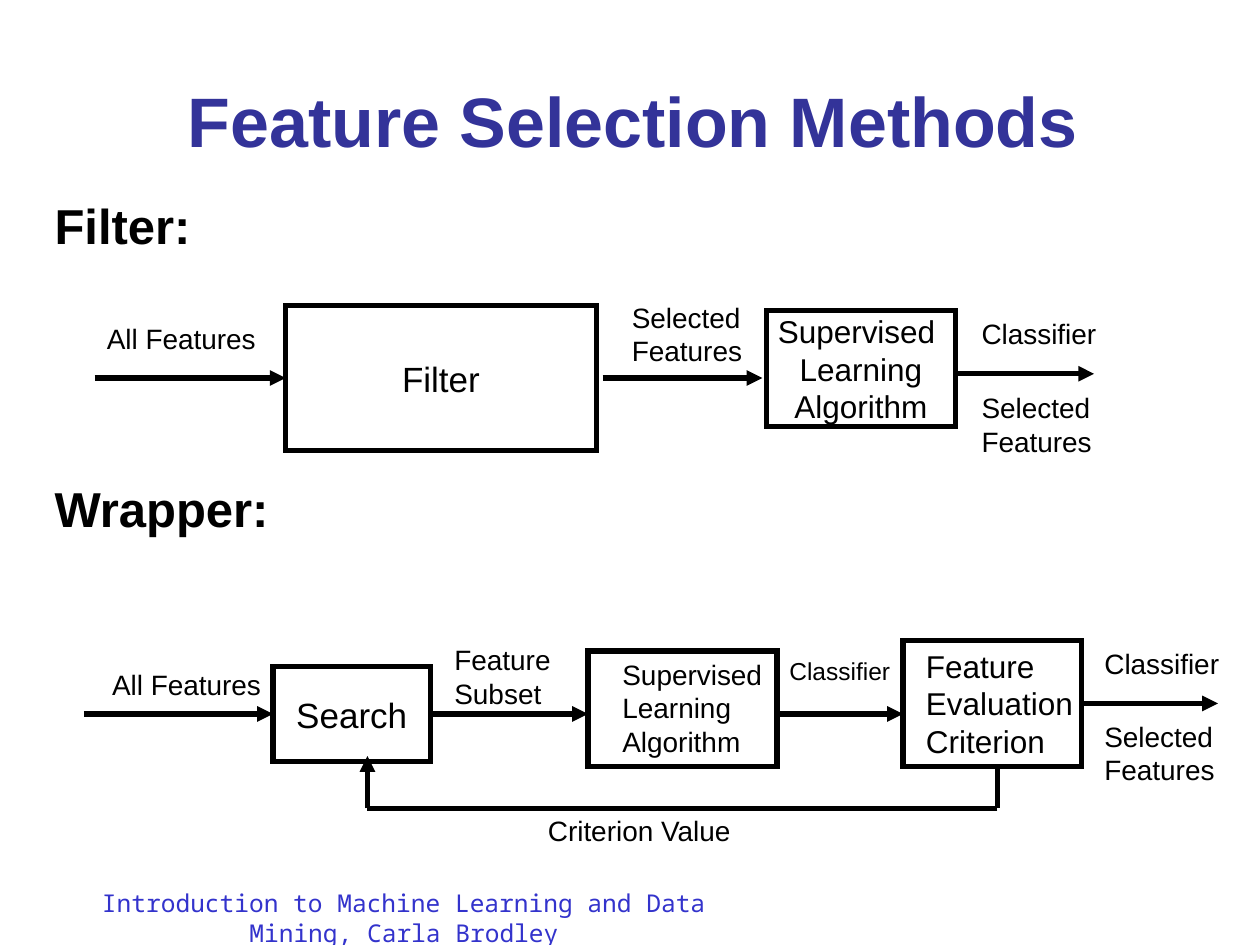
"""Build the slide on filter and wrapper feature selection methods."""
from lxml import etree
from pptx import Presentation
from pptx.dml.color import RGBColor
from pptx.enum.shapes import MSO_CONNECTOR, MSO_SHAPE
from pptx.enum.text import MSO_ANCHOR, MSO_AUTO_SIZE, PP_ALIGN
from pptx.oxml.ns import qn
from pptx.util import Inches, Pt

BLACK = RGBColor(0x00, 0x00, 0x00)
NAVY = RGBColor(0x33, 0x33, 0x99)
BLUE = RGBColor(0x33, 0x33, 0xCC)
LEFT, CENTER = PP_ALIGN.LEFT, PP_ALIGN.CENTER
TOP, MIDDLE, BOTTOM = MSO_ANCHOR.TOP, MSO_ANCHOR.MIDDLE, MSO_ANCHOR.BOTTOM
FIXED, GROW = MSO_AUTO_SIZE.NONE, MSO_AUTO_SIZE.SHAPE_TO_FIT_TEXT
RECT, STRAIGHT = MSO_SHAPE.RECTANGLE, MSO_CONNECTOR.STRAIGHT
LEFT_SIDE, RIGHT_SIDE = 1, 3
WIDTH, HEIGHT = Inches(10), Inches(7.5)
COLUMNS, ROWS = 120, 90
LINE_WIDTH = Pt(3)


def grid(col, row):
    """Return the slide lengths of a number of columns and rows."""
    return round(WIDTH * col / COLUMNS), round(HEIGHT * row / ROWS)


def area(col, row, cols, rows):
    """Return left, top, width and height of a grid area."""
    return *grid(col, row), *grid(cols, rows)


def write(sp, text, size=16, color=BLACK, font="Arial", bold=False, align=LEFT,
          anchor=TOP, wrap=True, fit=FIXED, gap=0):
    """Write one paragraph per line of text, with a gap between them."""
    tf = sp.text_frame
    tf.auto_size = fit
    tf.word_wrap = wrap
    tf.vertical_anchor = anchor
    for i, line in enumerate(text.split("\n")):
        p = tf.add_paragraph() if i else tf.paragraphs[0]
        p.alignment = align
        p.space_before = Pt(gap if i else 0)
        r = p.add_run()
        r.text = line
        r.font.size = Pt(size)
        r.font.name = font
        r.font.bold = bold
        r.font.color.rgb = color


def place(sp, *cells):
    """Move a placeholder to a grid area."""
    sp.left, sp.top, sp.width, sp.height = area(*cells)


def add_headings(s):
    """Fill the title and the body that names the two methods."""
    title, body = s.placeholders
    place(title, 5, 6, 110.5, 10)
    write(title, "Feature Selection Methods", size=40, color=NAVY, bold=True,
          align=CENTER, anchor=BOTTOM)
    place(body, 4, 18, 65, 45)
    write(body, "Filter:\nWrapper:", size=28, bold=True, gap=128)
    for p in body.text_frame.paragraphs:
        pPr = p._p.get_or_add_pPr()
        pPr.set("marL", "0")
        pPr.set("indent", "0")
        etree.SubElement(pPr, qn("a:buNone"))


def style_line(sp):
    """Give a shape or connector a thick black line with sharp corners."""
    sp.line.color.rgb = BLACK
    sp.line.width = LINE_WIDTH
    etree.SubElement(sp.line._get_or_add_ln(), qn("a:miter"), lim="800000")


def add_box(s, *cells, text="", size=20):
    """Add an outlined rectangle, with centred text if given."""
    sp = s.shapes.add_shape(RECT, *area(*cells))
    sp.shadow.inherit = False
    sp.fill.background()
    style_line(sp)
    if text:
        write(sp, text, size=size, align=CENTER, anchor=MIDDLE, wrap=False)
    return sp


def add_label(s, text, *cells, fit=GROW, **style):
    """Add a free text at a grid area."""
    sp = s.shapes.add_textbox(*area(*cells))
    write(sp, text, fit=fit, **style)


def add_line(s, start, end, source=None, target=None, arrow=True):
    """Draw a line, joined to the right of source and the left of target."""
    sp = s.shapes.add_connector(STRAIGHT, *grid(*start), *grid(*end))
    if source is not None:
        sp.begin_connect(source, RIGHT_SIDE)
    if target is not None:
        sp.end_connect(target, LEFT_SIDE)
    style_line(sp)
    if arrow:
        etree.SubElement(sp.line._get_or_add_ln(), qn("a:tailEnd"), type="triangle")
    etree.SubElement(sp._element.spPr, qn("a:effectLst"))


def add_outcome(s, col, classifier_row, features_row):
    """Label the two results that leave a method."""
    add_label(s, "Classifier", col, classifier_row, 14, 4.4)
    add_label(s, "Selected\nFeatures", col, features_row, 14, 7.7)


def add_filter(s):
    """Draw the filter method."""
    add_box(s, 73, 29.6, 18, 11, text="Supervised \nLearning\nAlgorithm", size=18)
    box = add_box(s, 27.2, 29.1, 29.6, 13.8, text="Filter")
    add_label(s, "All Features", 9, 30, 17.5, 4.4)
    add_label(s, "Selected\nFeatures", 59, 28, 26.3, 7.7)
    add_outcome(s, 92.3, 29.6, 36.6)
    add_line(s, (9, 36), (27, 36), target=box)
    add_line(s, (57.4, 36), (72.6, 36))
    add_line(s, (91.2, 35.6), (104.2, 35.6))


def add_wrapper(s):
    """Draw the wrapper method with its feedback loop."""
    search = add_box(s, 26, 63.5, 15, 9, text="Search")
    criterion = add_box(s, 86, 61, 17, 12)
    add_box(s, 56, 62, 18, 11)
    add_label(s, "Feature\nEvaluation\nCriterion", 87, 61, 17.5, 12, size=18)
    add_label(s, "Supervised\nLearning\nAlgorithm", 58.1, 62, 16.8, 10.8)
    add_label(s, "All Features", 9.5, 63, 17.5, 4.4)
    add_label(s, "Feature\nSubset", 42.1, 60.6, 13, 7.7)
    add_label(s, "Classifier", 74, 61.9, 13, 4.1, size=14)
    add_label(s, "Criterion Value", 51, 76.9, 21, 4.4)
    add_outcome(s, 104, 61, 67.9)
    add_line(s, (8, 68), (26, 68), target=search)
    add_line(s, (41, 68), (56, 68), source=search)
    add_line(s, (74, 68), (86, 68))
    add_line(s, (103, 67), (116, 67), source=criterion)
    loop = [(95, 73), (95, 77), (35, 77), (35, 72)]
    for start, end in zip(loop, loop[1:]):
        add_line(s, start, end, arrow=end == loop[-1])


def main():
    """Build and save the slide."""
    prs = Presentation()
    prs.slide_width, prs.slide_height = WIDTH, HEIGHT
    s = prs.slides.add_slide(prs.slide_layouts[1])
    add_headings(s)
    add_filter(s)
    add_wrapper(s)
    add_label(s, "Introduction to Machine Learning and Data Mining, Carla Brodley",
              3, 84, 71, 6, size=14, color=BLUE, font="Noto Sans Mono",
              align=CENTER, fit=FIXED)
    prs.save("out.pptx")


if __name__ == "__main__":
    main()
